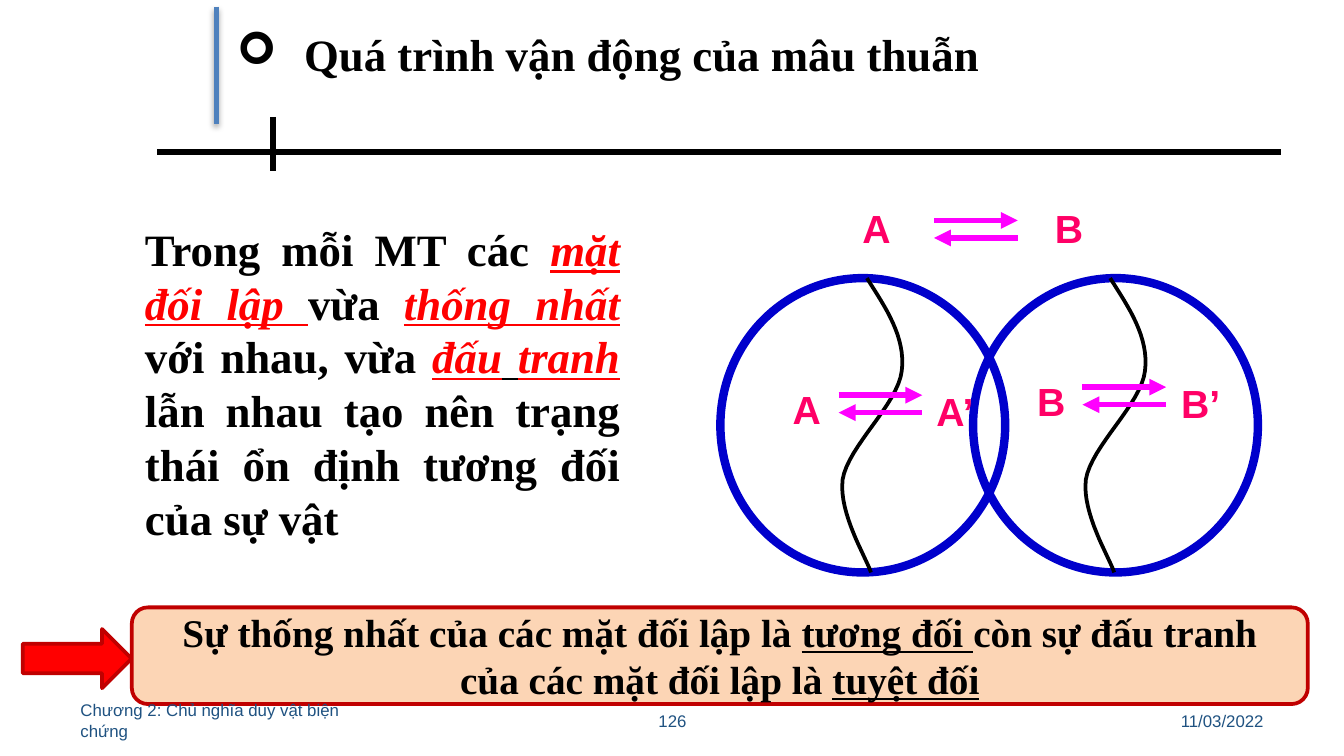
from dataclasses import dataclass

from lxml.etree import SubElement
from pptx import Presentation
from pptx.dml.color import RGBColor
from pptx.enum.shapes import MSO_CONNECTOR, MSO_SHAPE
from pptx.enum.text import MSO_ANCHOR, PP_ALIGN
from pptx.oxml.ns import qn
from pptx.util import Pt

BLACK, RED, MAGENTA, PINK = "000000", "FF0000", "FF00FF", "FF0066"
DARK_RED, NAVY = "C00000", "1F5281"
SERIF, SANS = "Times New Roman", "Arial"


@dataclass(frozen=True)
class Box:
    left: float
    top: float
    width: float
    height: float


@dataclass(frozen=True)
class Piece:
    text: str
    color: str = BLACK
    italic: bool = False
    underline: bool = False


@dataclass(frozen=True)
class Style:
    size: float
    font: str
    bold: bool = True
    align: PP_ALIGN = PP_ALIGN.LEFT
    anchor: MSO_ANCHOR = MSO_ANCHOR.TOP
    wrap: bool = True


@dataclass(frozen=True)
class Label:
    text: str
    left: float
    top: float
    width: float = 25.9
    wrap: bool = True


@dataclass(frozen=True)
class Footer:
    text: str
    left: float
    width: float
    align: PP_ALIGN


def rgb(color: str) -> RGBColor:
    return RGBColor.from_string(color)


def write(shape, pieces: list[Piece], style: Style):
    frame = shape.text_frame
    frame.word_wrap = style.wrap
    frame.vertical_anchor = style.anchor
    paragraph = frame.paragraphs[0]
    paragraph.alignment = style.align
    for piece in pieces:
        run = paragraph.add_run()
        run.text = piece.text
        font = run.font
        font.name, font.size, font.bold = style.font, Pt(style.size), style.bold
        font.italic, font.underline = piece.italic, piece.underline
        font.color.rgb = rgb(piece.color)
    return paragraph


def add_text(slide, box: Box, pieces: list[Piece], style: Style):
    shape = slide.shapes.add_textbox(Pt(box.left), Pt(box.top), Pt(box.width), Pt(box.height))
    return write(shape, pieces, style)


def add_block(slide, kind: MSO_SHAPE, box: Box, fill: str | None, line: str, weight: float):
    shape = slide.shapes.add_shape(kind, Pt(box.left), Pt(box.top), Pt(box.width), Pt(box.height))
    shape.shadow.inherit = False
    if fill:
        shape.fill.solid()
        shape.fill.fore_color.rgb = rgb(fill)
    else:
        shape.fill.background()
    shape.line.color.rgb = rgb(line)
    shape.line.width = Pt(weight)
    return shape


def add_line(slide, x1: float, y1: float, x2: float, y2: float, color: str, arrow: str = ""):
    line = slide.shapes.add_connector(MSO_CONNECTOR.STRAIGHT, Pt(x1), Pt(y1), Pt(x2), Pt(y2))
    line.line.color.rgb = rgb(color)
    line.line.width = Pt(3)
    if arrow:
        SubElement(line.line._get_or_add_ln(), qn(f"a:{arrow}"), type="triangle")
    return SubElement(line._element.spPr, qn("a:effectLst"))


def add_exchange(slide, left: float, top: float) -> None:
    for y, arrow in ((top, "tailEnd"), (top + 9.4, "headEnd")):
        add_line(slide, left, y, left + 44.8, y, MAGENTA, arrow)


def add_divider(slide, shift: float) -> None:
    nodes = [(464.4, 149), (474.5, 164.9), (485.3, 180.7), (483.1, 198.7),
             (481, 216.7), (454.3, 239), (451.4, 257), (449.3, 275), (463.7, 298.1), (466.6, 306.7)]
    steps = 16
    points = [nodes[0]]
    for start in range(0, len(nodes) - 1, 3):
        curve = nodes[start:start + 4]
        for step in range(1, steps + 1):
            t = step / steps
            weights = ((1 - t) ** 3, 3 * t * (1 - t) ** 2, 3 * t * t * (1 - t), t ** 3)
            points.append(tuple(sum(w * node[axis] for w, node in zip(weights, curve))
                                for axis in (0, 1)))
    scaled = [((x + shift) * 100, y * 100) for x, y in points]
    builder = slide.shapes.build_freeform(*scaled[0], scale=Pt(1) / 100)
    builder.add_line_segments(scaled[1:], close=False)
    divider = builder.convert_to_shape()
    divider.shadow.inherit = False
    divider.fill.background()
    divider.line.color.rgb = rgb(BLACK)
    divider.line.width = Pt(2)


def add_heading(slide) -> None:
    add_line(slide, 84.2, 81.4, 686.2, 81.4, BLACK)
    add_line(slide, 146.2, 62.6, 146.2, 91.4, BLACK)
    heading = add_text(slide, Box(108.7, 10.8, 439.9, 36),
                       [Piece("Quá trình vận động của mâu thuẫn ")],
                       Style(24, SERIF, align=PP_ALIGN.CENTER))
    properties = heading._p.get_or_add_pPr()
    properties.set("marL", str(Pt(36)))
    properties.set("indent", str(Pt(-36)))
    SubElement(properties, qn("a:buFont"), typeface="Wingdings")
    SubElement(properties, qn("a:buChar"), char="➢")
    effects = add_line(slide, 115.9, 3.6, 115.9, 66.2, "4F81BD")
    shadow = SubElement(effects, qn("a:outerShdw"), blurRad=str(Pt(3.1)),
                        dist=str(Pt(1.8)), dir="5400000", rotWithShape="0")
    tint = SubElement(shadow, qn("a:srgbClr"), val=BLACK)
    SubElement(tint, qn("a:alpha"), val="35000")


def add_diagram(slide) -> None:
    for left, fill in ((385.9, "FFFFFF"), (521.3, None)):
        add_block(slide, MSO_SHAPE.OVAL, Box(left, 149, 152.6, 157.7), fill, "0000CC", 4.5)
    for shift in (0, 130.3):
        add_divider(slide, shift)
    labels = [
        Label("A", 417.6, 203), Label("A’", 494.6, 203.8, 34.6, False),
        Label("B", 548.6, 198.7), Label("B’", 625.7, 199.4, 36, False),
        Label("A", 455, 105.8), Label("B", 558, 105.8, 69.8),
    ]
    for label in labels:
        add_text(slide, Box(label.left, label.top, label.width, 32.4),
                 [Piece(label.text, PINK)], Style(21, SANS, wrap=label.wrap))
    for left, top in ((449.3, 211.7), (579.9, 207.4), (500.4, 118.1)):
        add_exchange(slide, left, top)


def main() -> None:
    presentation = Presentation()
    presentation.slide_width, presentation.slide_height = Pt(720), Pt(405)
    slide = presentation.slides.add_slide(presentation.slide_layouts[6])

    add_heading(slide)
    add_text(slide, Box(70.6, 115.2, 268.6, 181.4), [
        Piece("Trong mỗi MT các "),
        Piece("mặt đối lập ", RED, True, True),
        Piece("vừa "),
        Piece("thống nhất ", RED, True, True),
        Piece("với nhau, vừa "),
        Piece("đấu", RED, True, True),
        Piece(" ", BLACK, True, True),
        Piece("tranh", RED, True, True),
        Piece(" ", BLACK, True, True),
        Piece("lẫn nhau tạo nên trạng thái ổn định tương đối của sự vật"),
    ], Style(24, SERIF, align=PP_ALIGN.JUSTIFY))
    add_diagram(slide)

    conclusion = add_block(slide, MSO_SHAPE.FLOWCHART_ALTERNATE_PROCESS,
                           Box(70.6, 325.4, 630, 51.8), "FCD5B5", DARK_RED, 2)
    write(conclusion, [
        Piece("Sự thống nhất của các mặt đối lập là "),
        Piece("tương đối ", underline=True),
        Piece("còn sự đấu tranh của các mặt đối lập là "),
        Piece("tuyệt đối", underline=True),
    ], Style(21, SERIF, align=PP_ALIGN.CENTER, anchor=MSO_ANCHOR.MIDDLE))
    add_block(slide, MSO_SHAPE.RIGHT_ARROW, Box(12.2, 337, 58.3, 31.7), RED, DARK_RED, 2)

    for footer in (
        Footer("11/03/2022", 516.2, 167.8, PP_ALIGN.RIGHT),
        Footer("Chương 2: Chủ nghĩa duy vật biện chứng", 36, 167.8, PP_ALIGN.LEFT),
        Footer("126", 246.2, 228.2, PP_ALIGN.CENTER),
    ):
        add_text(slide, Box(footer.left, 375.1, footer.width, 21.6), [Piece(footer.text, NAVY)],
                 Style(9, SANS, False, footer.align, MSO_ANCHOR.MIDDLE))

    presentation.save("out.pptx")


if __name__ == "__main__":
    main()
